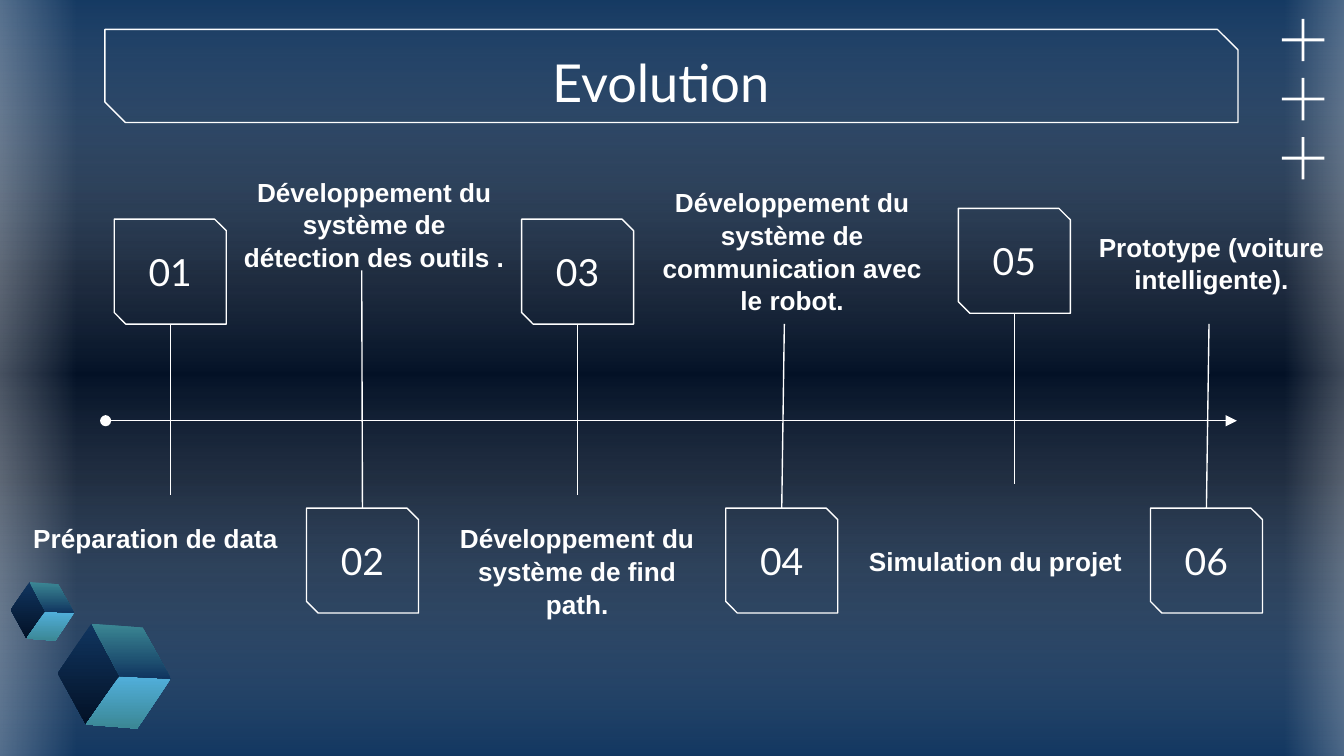
"""Build the "Evolution" timeline slide with six numbered steps."""
from lxml.etree import SubElement
from pptx import Presentation
from pptx.dml.color import RGBColor
from pptx.enum.shapes import MSO_CONNECTOR as Connector, MSO_SHAPE as Shape
from pptx.enum.text import MSO_ANCHOR as Anchor, PP_ALIGN as Align
from pptx.oxml.ns import qn
from pptx.util import Pt

WHITE, NAVY, NIGHT, SKY, TEAL = "FFFFFF", "10355F", "031126", "51AFDB", "3B8794"
TITLE = "Evolution"

# number, box corner, caption, caption corner, far end of the stem from the box
STEPS = [
    ("01", (61.2, 117.4), "Préparation de data ", (7.2, 272.2), (0, 91.4)),
    ("02", (164.2, 272.2), "Développement du système de détection des outils .",
     (122.4, 86.4), (-0.4, -127.4)),
    ("03", (279.4, 117.4), "Développement du système de find path.", (231.1, 272.2), (0, 91.4)),
    ("04", (388.8, 272.2), "Développement du système de communication avec le robot.",
     (346.3, 92.2), (1.4, -98.7)),
    ("05", (513.4, 111.6), "Simulation du projet ", (457.2, 284.4), (0, 91.4)),
    ("06", (616.3, 272.2), "Prototype (voiture intelligente).", (571, 115.9), (1.4, -98.7)),
]
BOX_WIDTH, BOX_HEIGHT = 60, 56.2
CAPTION_WIDTH, CAPTION_HEIGHT = 156.2, 38.2

BACKGROUND = [(0, NAVY, 100), (37, NIGHT, 100), (63, NIGHT, 100), (100, NAVY, 100)]
VEILS = [
    ((0, -9.4, 735.1, 418.3), [(0, NAVY, 59), (50, WHITE, 0), (100, NAVY, 59)], 90),
    ((-29.5, -6.5, 70.6, 417.6), [(0, WHITE, 47), (100, WHITE, 0)], 0),
    ((688.3, -9.4, 61.2, 417.6), [(0, WHITE, 47), (100, WHITE, 0)], 180),
]

PLUS_X, PLUS_YS, PLUS_SIZE, PLUS_STROKE = 698.1, (21.4, 53.1, 84.8), 22.7, 1.6

CUBE_FACES = [
    ([(18, 0), (0, 26.6), (15.1, 54), (33.1, 28.1)], NAVY, NIGHT),
    ([(33.1, 28.1), (60.5, 29.5), (42.5, 56.2), (15.1, 54)], SKY, TEAL),
    ([(18, 0), (45.4, 2.2), (60.5, 29.5), (33.1, 28.1)], TEAL, NAVY),
]
CUBES = [((31, 334.1), 1), ((5.8, 311.8), 0.56)]


def color(value):
    return RGBColor.from_string(value)


def points(values):
    return [Pt(value) for value in values]


def paint_gradient(fill, element, stops, angle):
    fill.gradient()
    gradient = element.find(".//" + qn("a:gradFill"))
    stop_list = gradient.find(qn("a:gsLst"))
    for stop in list(stop_list):
        stop_list.remove(stop)
    for position, value, opacity in stops:
        stop = SubElement(stop_list, qn("a:gs"), pos=str(position * 1000))
        tint = SubElement(stop, qn("a:srgbClr"), val=value)
        if opacity < 100:
            SubElement(tint, qn("a:alpha"), val=str(opacity * 1000))
    gradient.find(qn("a:lin")).set("ang", str(angle * 60000))


def add_plain_shape(slide, kind, bounds):
    shape = slide.shapes.add_shape(kind, *points(bounds))
    shape.shadow.inherit = False
    shape.line.fill.background()
    return shape


def add_snipped_box(slide, bounds, snip):
    shape = add_plain_shape(slide, Shape.SNIP_2_DIAG_RECTANGLE, bounds)
    shape.adjustments[0], shape.adjustments[1] = 0, snip
    shape.fill.background()
    shape.line.color.rgb = color(WHITE)
    shape.line.width = Pt(0.75)
    return shape


def add_line(slide, start, end, ends=()):
    line = slide.shapes.add_connector(Connector.STRAIGHT, *points(start + end))
    line.line.color.rgb = color(WHITE)
    line.line.width = Pt(0.75)
    properties = line.element.spPr
    for tag, kind in ends:
        SubElement(properties.find(qn("a:ln")), qn(tag), type=kind)
    SubElement(properties, qn("a:effectLst"))


def write(shape, text, font, size, bold=False, anchor=Anchor.MIDDLE, spacing=None):
    frame = shape.text_frame
    frame.word_wrap = True
    frame.vertical_anchor = anchor
    frame.margin_left = frame.margin_right = Pt(7.2)
    frame.margin_top = frame.margin_bottom = Pt(7.2)
    paragraph = frame.paragraphs[0]
    paragraph.alignment = Align.CENTER
    paragraph.line_spacing = spacing
    run = paragraph.add_run()
    run.text = text
    run.font.name, run.font.size, run.font.bold = font, Pt(size), bold
    run.font.color.rgb = color(WHITE)


def add_backdrop(slide):
    paint_gradient(slide.background.fill, slide.element, BACKGROUND, 90)
    for bounds, stops, angle in VEILS:
        veil = add_plain_shape(slide, Shape.RECTANGLE, bounds)
        paint_gradient(veil.fill, veil.element, stops, angle)


def add_title(slide):
    add_snipped_box(slide, (56.2, 15.8, 607, 49.9), 0.22)
    title = slide.shapes.title
    title.left, title.top, title.width, title.height = points((50.4, 20.9, 607, 45.4))
    write(title, TITLE, "Lato", 28)


def add_pluses(slide):
    for y in PLUS_YS:
        for width, height in ((PLUS_SIZE, PLUS_STROKE), (PLUS_STROKE, PLUS_SIZE)):
            bounds = (PLUS_X - width / 2, y - height / 2, width, height)
            bar = add_plain_shape(slide, Shape.RECTANGLE, bounds)
            bar.fill.solid()
            bar.fill.fore_color.rgb = color(WHITE)


def add_cubes(slide):
    for (left, top), scale in CUBES:
        for corners, first, last in CUBE_FACES:
            outline = [points((left + x * scale, top + y * scale)) for x, y in corners]
            builder = slide.shapes.build_freeform(*outline[0], scale=1.0)
            builder.add_line_segments(outline[1:], close=True)
            face = builder.convert_to_shape()
            face.shadow.inherit = False
            face.line.fill.background()
            paint_gradient(face.fill, face.element, [(0, first, 100), (100, last, 100)], 90)


def add_timeline(slide):
    add_line(slide, (56.6, 225.4), (662.6, 225.4),
             (("a:headEnd", "oval"), ("a:tailEnd", "triangle")))
    for number, (left, top), caption, corner, (lean, reach) in STEPS:
        box = add_snipped_box(slide, (left, top, BOX_WIDTH, BOX_HEIGHT), 0.11)
        write(box, number, "Lato", 20)
        x = left + BOX_WIDTH / 2
        y = top + BOX_HEIGHT if reach > 0 else top
        add_line(slide, (x, y), (x + lean, y + reach))
        text_box = slide.shapes.add_textbox(*points(corner + (CAPTION_WIDTH, CAPTION_HEIGHT)))
        write(text_box, caption, "Arial", 14, True, Anchor.TOP, 1.04)


def main():
    presentation = Presentation()
    presentation.slide_width, presentation.slide_height = points((720, 405))
    slide = presentation.slides.add_slide(presentation.slide_layouts[5])
    add_backdrop(slide)
    add_title(slide)
    add_pluses(slide)
    add_cubes(slide)
    add_timeline(slide)
    title = slide.shapes.title.element
    slide.shapes.element.append(title)
    presentation.save("out.pptx")


if __name__ == "__main__":
    main()
